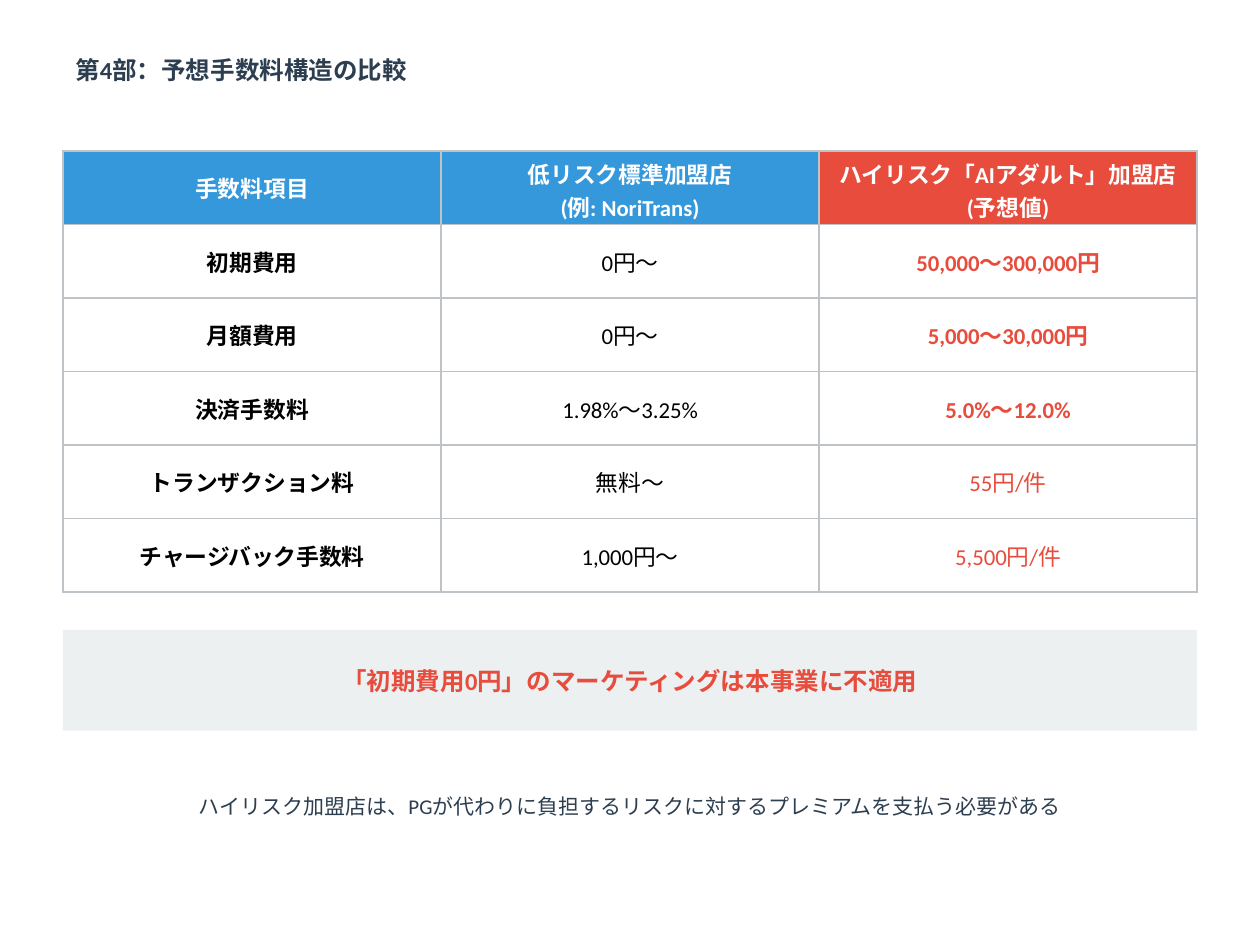
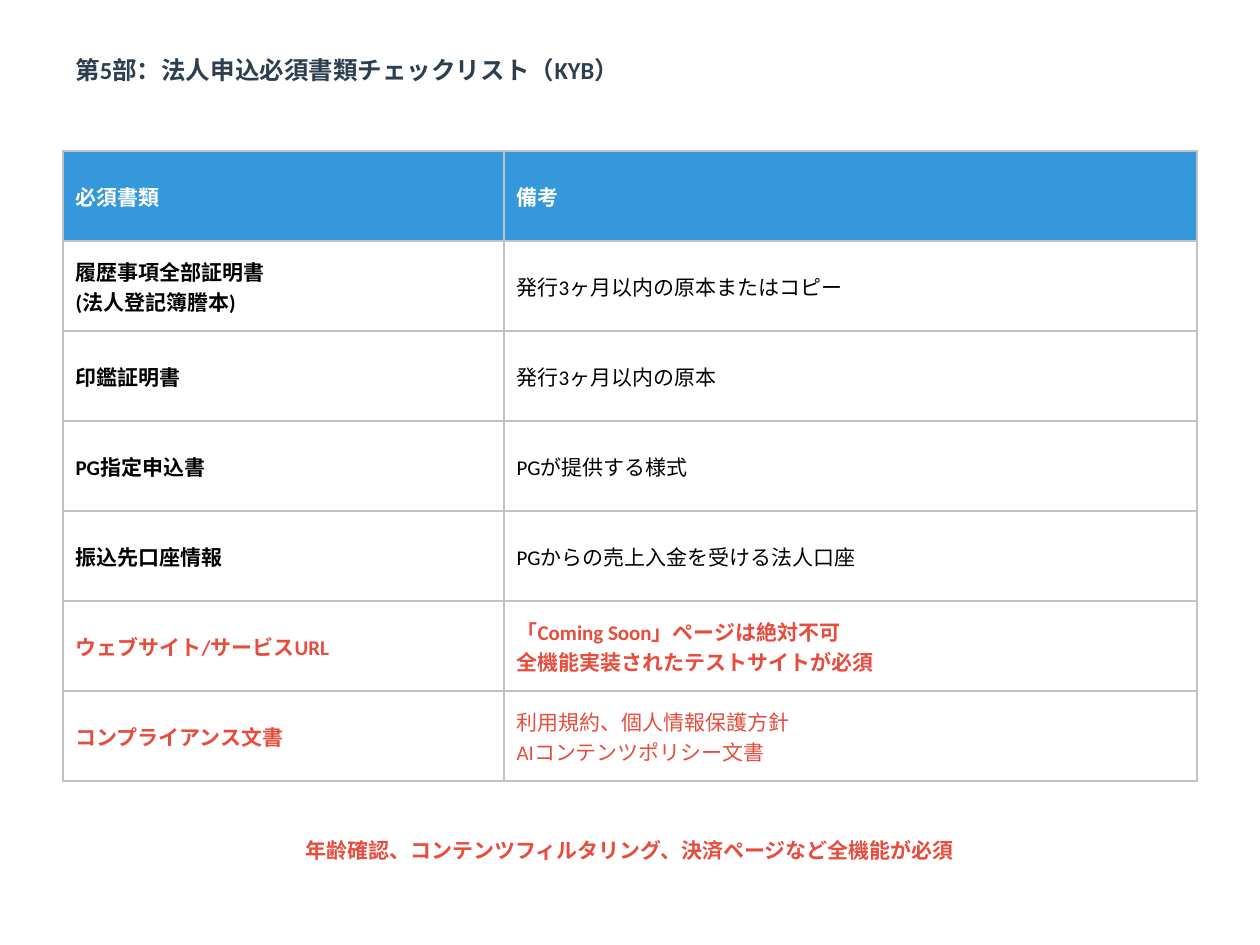
from collections import namedtuple

from lxml import etree
from pptx import Presentation
from pptx.dml.color import RGBColor
from pptx.enum.shapes import MSO_SHAPE
from pptx.enum.text import MSO_ANCHOR, PP_ALIGN
from pptx.oxml.ns import qn
from pptx.util import Inches, Pt

LEFT, CENTER = PP_ALIGN.LEFT, PP_ALIGN.CENTER
MIDDLE = MSO_ANCHOR.MIDDLE
RECT = MSO_SHAPE.RECTANGLE

NAVY = RGBColor(0x2C, 0x3E, 0x50)
BLUE = RGBColor(0x34, 0x98, 0xDB)
RED = RGBColor(0xE7, 0x4C, 0x3C)
GRAY = RGBColor(0xBD, 0xC3, 0xC7)
PALE = RGBColor(0xEC, 0xF0, 0xF1)
WHITE = RGBColor(0xFF, 0xFF, 0xFF)
BLACK = RGBColor(0x00, 0x00, 0x00)

FONT = "Calibri"
EDGE = 0.5
WIDTH = 9
TABLE_TOP = 1.2

Look = namedtuple("Look", "color bold fill")
HEAD = Look(WHITE, True, BLUE)
ALERT = Look(WHITE, True, RED)
LABEL = Look(BLACK, True, WHITE)
PLAIN = Look(BLACK, False, WHITE)
HOT = Look(RED, True, WHITE)
WARM = Look(RED, False, WHITE)

FEES = [
    [("手数料項目", HEAD), ("低リスク標準加盟店\n(例: NoriTrans)", HEAD),
     ("ハイリスク「AIアダルト」加盟店\n(予想値)", ALERT)],
    [("初期費用", LABEL), ("0円～", PLAIN), ("50,000～300,000円", HOT)],
    [("月額費用", LABEL), ("0円～", PLAIN), ("5,000～30,000円", HOT)],
    [("決済手数料", LABEL), ("1.98%～3.25%", PLAIN), ("5.0%～12.0%", HOT)],
    [("トランザクション料", LABEL), ("無料～", PLAIN), ("55円/件", WARM)],
    [("チャージバック手数料", LABEL), ("1,000円～", PLAIN), ("5,500円/件", WARM)],
]

PAPERS = [
    [("必須書類", HEAD), ("備考", HEAD)],
    [("履歴事項全部証明書\n(法人登記簿謄本)", LABEL), ("発行3ヶ月以内の原本またはコピー", PLAIN)],
    [("印鑑証明書", LABEL), ("発行3ヶ月以内の原本", PLAIN)],
    [("PG指定申込書", LABEL), ("PGが提供する様式", PLAIN)],
    [("振込先口座情報", LABEL), ("PGからの売上入金を受ける法人口座", PLAIN)],
    [("ウェブサイト/サービスURL", HOT),
     ("「Coming Soon」ページは絶対不可\n全機能実装されたテストサイトが必須", HOT)],
    [("コンプライアンス文書", HOT),
     ("利用規約、個人情報保護方針\nAIコンテンツポリシー文書", WARM)],
]


class Deck:
    def __init__(self):
        self.show = Presentation()
        self.show.slide_width = Inches(10)
        self.show.slide_height = Inches(7.5)
        self.slide = None

    def page(self, title):
        self.slide = self.show.slides.add_slide(self.show.slide_layouts[6])
        fill = self.slide.background.fill
        fill.solid()
        fill.fore_color.rgb = WHITE
        self.note(title, 0.3, 0.5, 14, NAVY, True, LEFT)

    def label(self, frame, text, size, color, bold, align):
        frame.text = text
        frame.word_wrap = True
        for par in frame.paragraphs:
            par.alignment = align
            for run in par.runs:
                font = run.font
                font.name = FONT
                font.size = Pt(size)
                font.bold = bold
                font.color.rgb = color

    def note(self, text, top, height, size, color, bold=False, align=CENTER):
        box = self.slide.shapes.add_textbox(
            Inches(EDGE), Inches(top), Inches(WIDTH), Inches(height))
        box.text_frame.vertical_anchor = MIDDLE
        self.label(box.text_frame, text, size, color, bold, align)

    def band(self, text, top, height, size, color):
        bar = self.slide.shapes.add_shape(
            RECT, Inches(EDGE), Inches(top), Inches(WIDTH), Inches(height))
        bar.shadow.inherit = False
        bar.fill.solid()
        bar.fill.fore_color.rgb = PALE
        bar.line.fill.background()
        bar.text_frame.vertical_anchor = MIDDLE
        self.label(bar.text_frame, text, size, color, True, CENTER)

    def border(self, cell):
        props = cell._tc.get_or_add_tcPr()
        for side in ("a:lnL", "a:lnR", "a:lnT", "a:lnB"):
            line = etree.SubElement(props, qn(side), w=str(Pt(1)))
            fill = etree.SubElement(line, qn("a:solidFill"))
            etree.SubElement(fill, qn("a:srgbClr"), val=str(GRAY))

    def table(self, rows, widths, height, size, align):
        grid = self.slide.shapes.add_table(
            len(rows), len(widths), Inches(EDGE), Inches(TABLE_TOP),
            Inches(WIDTH), Inches(height)).table
        grid.first_row = False
        grid.horz_banding = False
        for column, width in zip(grid.columns, widths):
            column.width = Inches(width)
        for r, row in enumerate(rows):
            for c, (text, look) in enumerate(row):
                cell = grid.cell(r, c)
                self.border(cell)
                cell.fill.solid()
                cell.fill.fore_color.rgb = look.fill
                cell.vertical_anchor = MIDDLE
                self.label(cell.text_frame, text, size, look.color, look.bold, align)


def main():
    deck = Deck()

    deck.page("第4部：予想手数料構造の比較")
    deck.table(FEES, [3, 3, 3], 3.5, 13, CENTER)
    deck.band("「初期費用0円」のマーケティングは本事業に不適用", 5, 0.8, 14, RED)
    deck.note("ハイリスク加盟店は、PGが代わりに負担するリスクに対するプレミアムを支払う必要がある",
              6, 0.8, 12, NAVY)

    deck.page("第5部：法人申込必須書類チェックリスト（KYB）")
    deck.table(PAPERS, [3.5, 5.5], 5, 12, LEFT)
    deck.note("年齢確認、コンテンツフィルタリング、決済ページなど全機能が必須",
              6.5, 0.5, 12, RED, True)

    deck.show.save("out.pptx")


if __name__ == "__main__":
    main()
